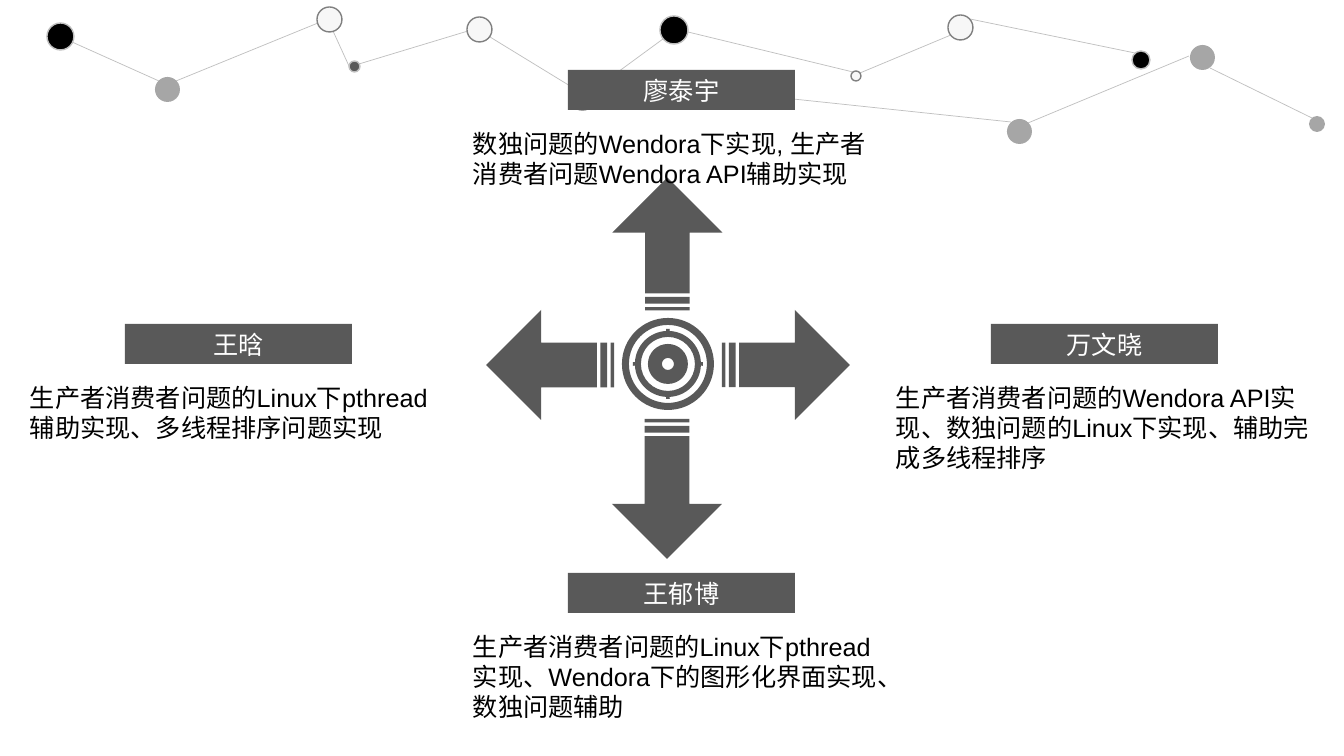
import math

from lxml import etree
from pptx import Presentation
from pptx import util as u
from pptx.dml.color import RGBColor
from pptx.enum import shapes, text
from pptx.oxml.ns import qn

PX = 914400 / 100.8
COLORS = {
    "dark": "595959",
    "gray": "A6A6A6",
    "light": "F7F7F7",
    "black": "000000",
    "white": "FFFFFF",
    "edge": "BFBFBF",
    "outline": "808080",
}
NODE_OUTLINES = {"gray": None, "light": "outline", "black": "edge", "dark": "edge"}

# Network: x1, y1, x2, y2
LINKS = [
    (72, 42, 159, 81), (318, 23, 176, 81), (333, 31, 349, 66), (468, 31, 359, 64),
    (490, 37, 575, 89), (663, 39, 592, 91), (853, 72, 688, 32), (951, 35, 860, 73),
    (970, 19, 1135, 53), (793, 99, 1011, 122), (1028, 123, 1189, 56), (1312, 118, 1210, 68),
]
# Network: left, top, diameter, color
NODES = [
    (47, 23, 27, "black"), (155, 77, 25, "gray"), (317, 7, 25, "light"),
    (349, 61, 11, "dark"), (467, 17, 25, "light"), (570, 86, 25, "gray"),
    (660, 16, 28, "black"), (851, 71, 10, "light"), (948, 15, 25, "light"),
    (1007, 119, 25, "gray"), (1132, 51, 18, "black"), (1190, 45, 25, "gray"),
    (1309, 116, 16, "gray"),
]
# Arrows: left, top, length, rotation
ARROWS = [(486, 310, 128, 180), (601, 189, 133, 270), (597, 434, 140, 90), (722, 310, 128, 0)]
ARROW_WIDTH = 110
TARGET_CENTER = (668, 364)

# Members: name box left and top, name, task height, task
MEMBERS = [
    (568, 70, "廖泰宇", 72, "数独问题的Wendora下实现, 生产者消费者问题Wendora API辅助实现"),
    (125, 324, "王晗", 72, "生产者消费者问题的Linux下pthread辅助实现、多线程排序问题实现"),
    (991, 324, "万文晓", 102, "生产者消费者问题的Wendora API实现、数独问题的Linux下实现、辅助完成多线程排序"),
    (568, 573, "王郁博", 102, "生产者消费者问题的Linux下pthread实现、Wendora下的图形化界面实现、数独问题辅助"),
]
NAME_SIZE = (227, 40)
TASK_OFFSET = (-105, 53)
TASK_WIDTH = 437


def px(*lengths):
    return [u.Emu(round(length * PX)) for length in lengths]


def rgb(name):
    return RGBColor.from_string(COLORS[name])


def paint(shape, fill, outline=None):
    shape.shadow.inherit = False
    shape.fill.solid()
    shape.fill.fore_color.rgb = rgb(fill)
    if outline:
        shape.line.color.rgb = rgb(outline)
        shape.line.width = u.Pt(1)
    else:
        shape.line.fill.background()


def add_link(slide, ends):
    link = slide.shapes.add_connector(shapes.MSO_CONNECTOR.STRAIGHT, *px(*ends))
    link.line.color.rgb = rgb("edge")
    link.line.width = u.Pt(0.5)
    etree.SubElement(link._element.spPr, qn("a:effectLst"))


def add_preset(slide, preset, box, fill, outline=None):
    shape = slide.shapes.add_shape(preset, *px(*box))
    paint(shape, fill, outline)
    return shape


def add_arrow(slide, left, top, length, rotation):
    arrow = add_preset(slide, shapes.MSO_SHAPE.STRIPED_RIGHT_ARROW,
                       (left, top, length, ARROW_WIDTH), "dark")
    arrow.adjustments[0] = 0.405
    arrow.adjustments[1] = 0.5
    arrow.rotation = rotation


def polar(radius, degrees):
    angle = math.radians(degrees)
    center_x, center_y = TARGET_CENTER
    return px(center_x + radius * math.cos(angle), center_y + radius * math.sin(angle))


def arc(radius, start, end):
    """Two control points and the end point of a Bézier arc."""
    reach = 4 / 3 * math.tan(math.radians(end - start) / 4)
    turn = math.degrees(math.atan(reach))
    control_radius = radius * math.hypot(1, reach)
    return [polar(control_radius, start + turn), polar(control_radius, end - turn),
            polar(radius, end)]


def circle(radius, sweep=90):
    points = [polar(radius, 0)]
    for quarter in range(4):
        points += arc(radius, quarter * sweep, (quarter + 1) * sweep)
    return points


def ticked_circle(radius, tick_radius):
    points = [polar(radius, 3)]
    for quarter in range(0, 360, 90):
        points += arc(radius, quarter + 3, quarter + 87)
        for corner in ((tick_radius, 87), (tick_radius, 93), (radius, 93)):
            points += [polar(corner[0], quarter + corner[1])] * 3
    return points


def bend(shape):
    """Turn each three line segments into one cubic curve."""
    segments = list(shape._element.iter(qn("a:lnTo")))
    for first, second, third in zip(segments[::3], segments[1::3], segments[2::3]):
        curve = etree.Element(qn("a:cubicBezTo"))
        first.addprevious(curve)
        for segment in (first, second, third):
            curve.append(segment[0])
            segment.getparent().remove(segment)


def add_target(slide):
    # Holes run against their outlines
    contours = [circle(46), circle(39, -90), ticked_circle(33, 35), circle(27, -90),
                circle(20), circle(6, -90)]
    builder = slide.shapes.build_freeform(*contours[0][0])
    for index, contour in enumerate(contours):
        if index:
            builder.move_to(*contour[0])
        builder.add_line_segments(contour[1:], close=True)
    target = builder.convert_to_shape()
    bend(target)
    paint(target, "dark")


def write(shape, words, color, alignment):
    frame = shape.text_frame
    formats = {"word_wrap": True, "auto_size": text.MSO_AUTO_SIZE.SHAPE_TO_FIT_TEXT}
    for key, value in formats.items():
        setattr(frame, key, value)
    paragraph = frame.paragraphs[0]
    paragraph.alignment = alignment
    run = paragraph.add_run()
    run.text = words
    for key, value in {"name": "Arial", "size": u.Pt(18)}.items():
        setattr(run.font, key, value)
    run.font.color.rgb = rgb(color)


def add_member(slide, left, top, name, task_height, task):
    name_box = add_preset(slide, shapes.MSO_SHAPE.RECTANGLE, (left, top, *NAME_SIZE), "dark")
    write(name_box, name, "white", text.PP_ALIGN.CENTER)
    shift_x, shift_y = TASK_OFFSET
    task_box = slide.shapes.add_textbox(
        *px(left + shift_x, top + shift_y, TASK_WIDTH, task_height))
    write(task_box, task, "black", text.PP_ALIGN.LEFT)


def main():
    presentation = Presentation()
    presentation.slide_width, presentation.slide_height = px(1344, 756)
    slide = presentation.slides.add_slide(presentation.slide_layouts[6])

    # Network along the top
    for ends in LINKS:
        add_link(slide, ends)
    for left, top, diameter, color in NODES:
        add_preset(slide, shapes.MSO_SHAPE.OVAL, (left, top, diameter, diameter),
                   color, NODE_OUTLINES[color])

    # Arrows around the target
    for arrow in ARROWS:
        add_arrow(slide, *arrow)
    add_target(slide)

    # Members and their tasks
    for member in MEMBERS:
        add_member(slide, *member)

    presentation.save("out.pptx")


if __name__ == "__main__":
    main()
